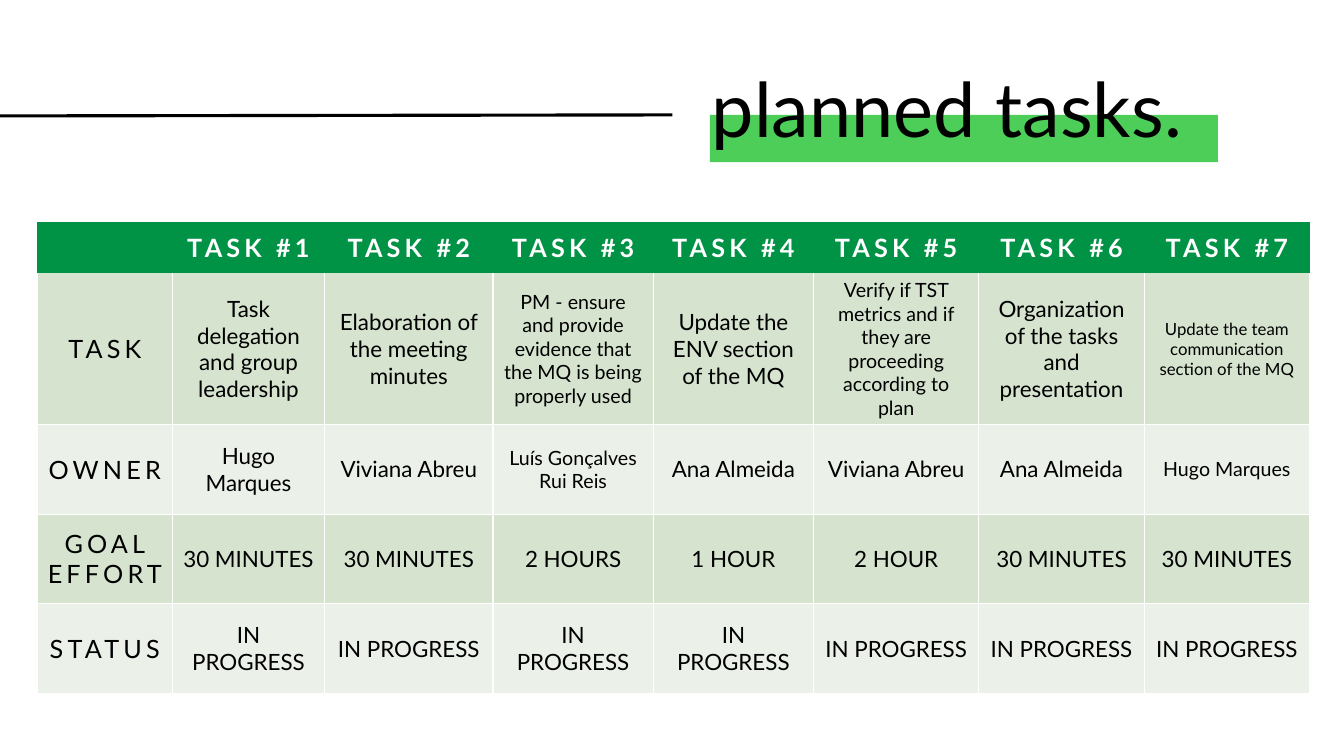
from pptx import Presentation
from pptx.dml.color import RGBColor
from pptx.enum.shapes import MSO_CONNECTOR, MSO_SHAPE
from pptx.enum.text import MSO_ANCHOR, PP_ALIGN
from pptx.oxml.ns import qn
from pptx.util import Inches, Pt
from lxml.etree import SubElement


def rgb(value):
    return RGBColor.from_string(value)


def write(tf, text, align, size, color, bold=False, spacing=0):
    tf.text = text
    for p in tf.paragraphs:
        p.alignment = align
        for r in p.runs:
            font = {"name": "Lato", "size": Pt(size), "bold": bold}
            for name, value in font.items():
                setattr(r.font, name, value)
            r.font.color.rgb = rgb(color)
            r.font._element.set("spc", str(spacing * 100))


prs = Presentation()
prs.slide_width, prs.slide_height = Inches(13.33), Inches(7.5)
s = prs.slides.add_slide(prs.slide_layouts[6])

# Highlight behind the title
highlight = s.shapes.add_shape(MSO_SHAPE.RECTANGLE, Inches(7.04), Inches(1.14),
                               Inches(5.04), Inches(0.47))
highlight.shadow.inherit = False
highlight.fill.solid()
highlight.fill.fore_color.rgb = rgb("4DCE59")
highlight.line.fill.background()

# Task table: each row is its label followed by the seven tasks
rows = [
    [""] + [f"TASK #{n}" for n in range(1, 8)],
    ["TASK", "Task delegation and group leadership",
     "Elaboration of the meeting minutes",
     "PM - ensure and provide evidence that the MQ is being properly used",
     "Update the ENV section of the MQ",
     "Verify if TST metrics and if they are proceeding according to plan",
     "Organization of the tasks and presentation",
     "Update the team communication section of the MQ"],
    ["OWNER", "Hugo Marques", "Viviana Abreu", "Luís Gonçalves\nRui Reis",
     "Ana Almeida", "Viviana Abreu", "Ana Almeida", "Hugo Marques"],
    ["GOAL\nEFFORT", "30 MINUTES", "30 MINUTES", "2 HOURS", "1 HOUR",
     "2 HOUR", "30 MINUTES", "30 MINUTES"],
    ["STATUS"] + ["IN PROGRESS"] * 7,
]
small_sizes = {(1, 3): 14, (1, 5): 14, (1, 7): 12, (2, 3): 14, (2, 7): 14}
widths = [1.34, 1.51, 1.67, 1.59, 1.59, 1.64, 1.64, 1.64]

table = s.shapes.add_table(len(rows), len(widths), Inches(0.37), Inches(2.2),
                           Inches(12.63), Inches(4.97)).table
table.first_row = table.horz_banding = False
for column, width in zip(table.columns, widths):
    column.width = Inches(width)

for i, texts in enumerate(rows):
    # The task row grows to fit its text
    table.rows[i].height = Inches(0.89 if i else 0.51)
    row_fill = ("D5E3CF" if i % 2 else "EBF1E9") if i else "009245"
    for j, text in enumerate(texts):
        cell = table.cell(i, j)
        cell.vertical_anchor = MSO_ANCHOR.MIDDLE
        heading = i == 0 or j == 0
        size = 18 if heading else small_sizes.get((i, j), 16)
        write(cell.text_frame, text, PP_ALIGN.CENTER, size,
              "000000" if i else "FFFFFF", i == 0, 3 if heading else 0)

        # White borders in the body, none around the header row
        tcPr = cell._tc.get_or_add_tcPr()
        for side in "LRTB":
            ln = SubElement(tcPr, qn(f"a:ln{side}"), w=str(Pt(1)))
            if i == 0 or (i == 1 and side == "T"):
                SubElement(ln, qn("a:noFill"))
            else:
                SubElement(SubElement(ln, qn("a:solidFill")),
                           qn("a:srgbClr"), val="FFFFFF")
        cell.fill.solid()
        cell.fill.fore_color.rgb = rgb(row_fill)

# Line leading to the title
line = s.shapes.add_connector(MSO_CONNECTOR.STRAIGHT, Inches(0), Inches(1.15),
                              Inches(6.67), Inches(1.14))
line.line.color.rgb = rgb("000000")
line.line.width = Pt(2.25)
SubElement(line._element.spPr, qn("a:effectLst"))

# Title
title = s.shapes.add_textbox(Inches(6.96), Inches(0.4), Inches(5.45), Inches(1.45))
tf = title.text_frame
tf.word_wrap = True
tf.vertical_anchor = MSO_ANCHOR.MIDDLE
write(tf, "planned tasks.", PP_ALIGN.LEFT, 54, "000000")
tf.paragraphs[0].line_spacing = 0.9

prs.save("out.pptx")
